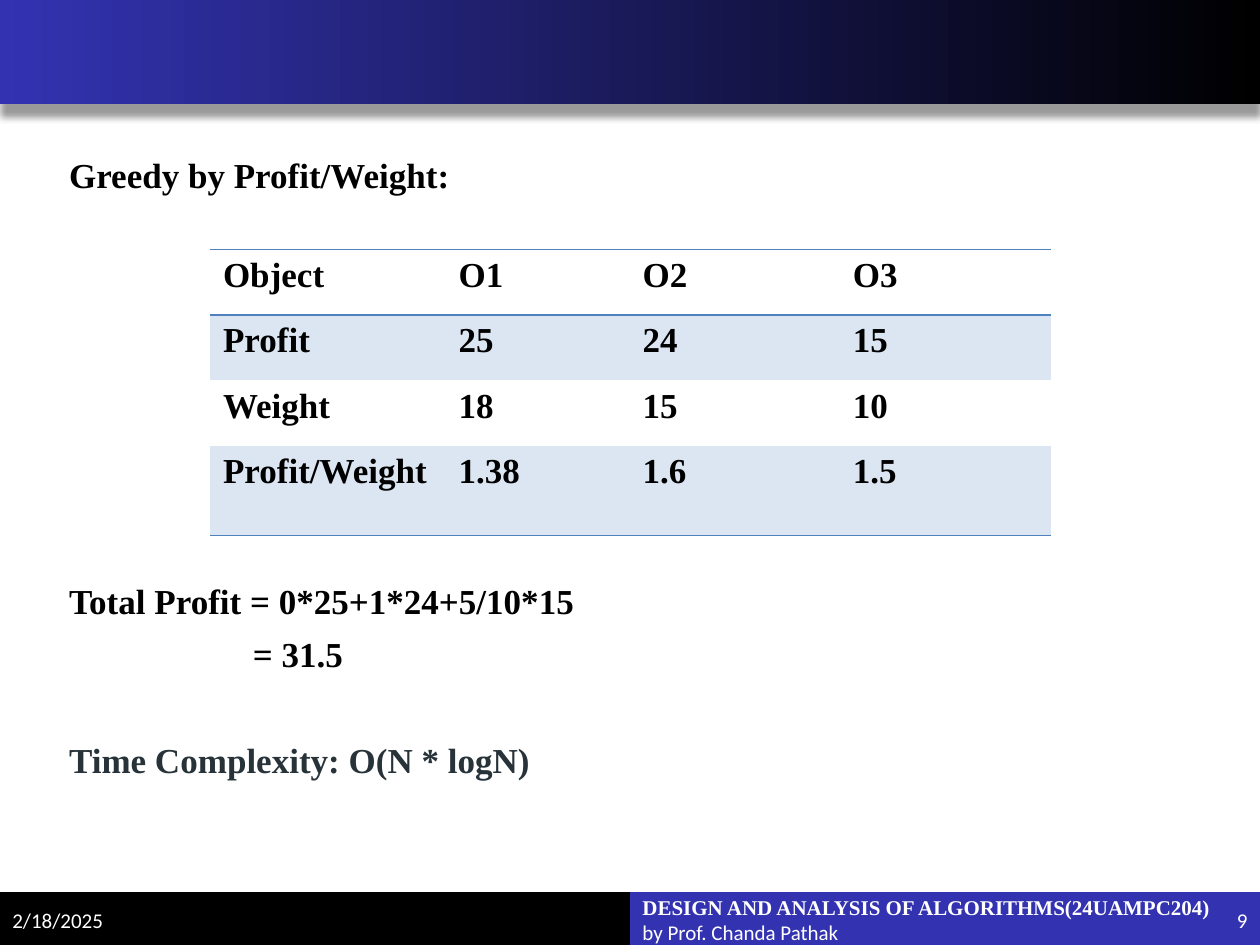
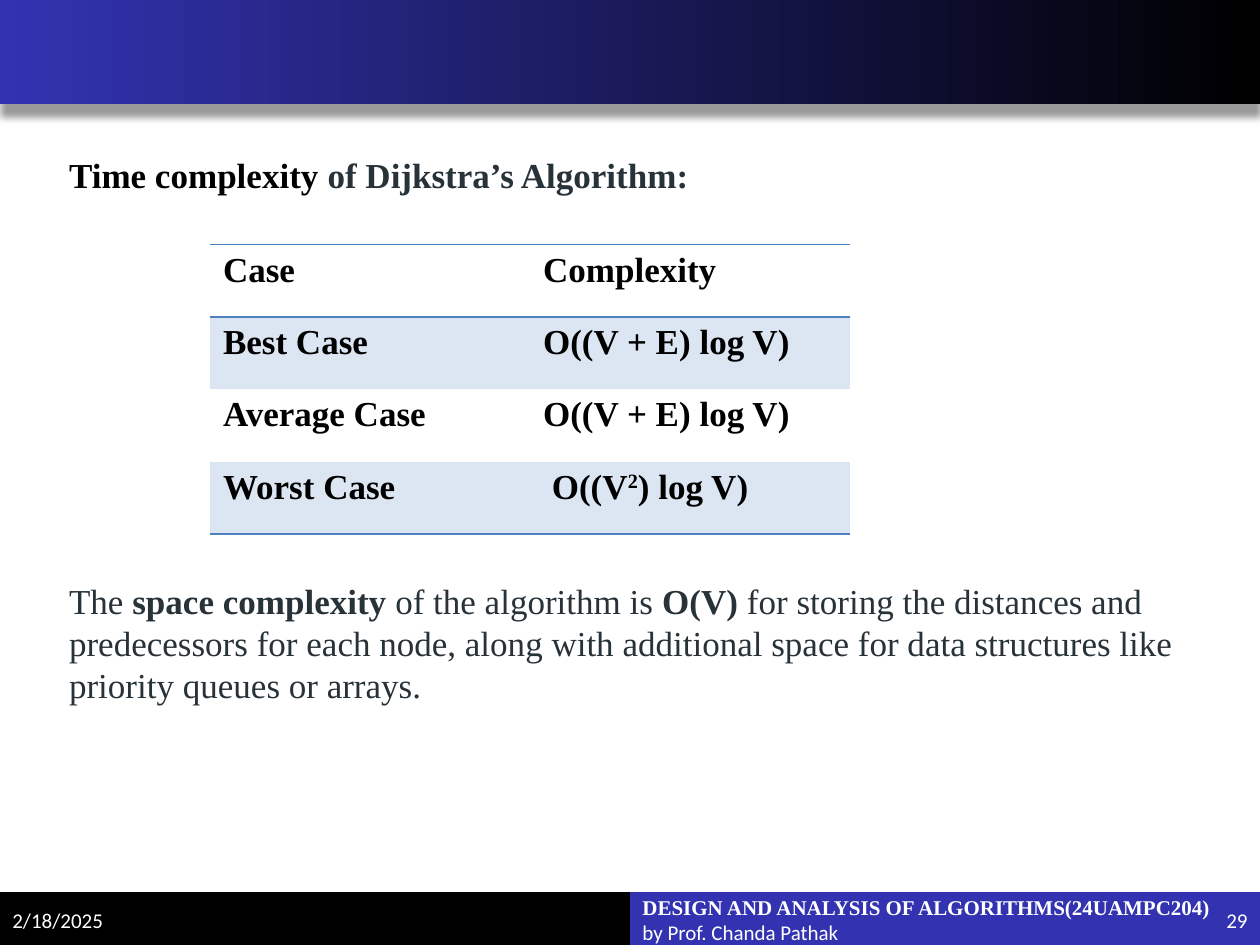
import pptx
import pptx.dml.color
import pptx.enum.shapes
import pptx.enum.text
import pptx.oxml
import pptx.oxml.ns
import pptx.util
from pptx.util import Inches

COLOURS = {
    "indigo": "3333B2",
    "black": "000000",
    "white": "FFFFFF",
    "slate": "273239",
    "rule": "4F81BD",
    "stripe": "DCE6F2",
}
SERIF, SANS = "Times New Roman", "Calibri"
BODY_FORMAT = {"name": SERIF, "size": 20, "bold": True, "colour": "black"}
FOOTER_FORMAT = {"name": SANS, "size": 12, "bold": False, "colour": "white"}
SLATE, PLAIN = {"colour": "slate"}, {"colour": "slate", "bold": False}

LINE_HEIGHT, LINE_STEP = 24, 30.4  # points: within and between paragraphs
BODY_INDENT = 0.12
NO_GRID_STYLE = "{2D5ABB26-0587-4C30-8999-92F81FD0307C}"


def rgb(name):
    return pptx.dml.color.RGBColor.from_string(COLOURS[name])


def drawing_element(xml):
    return pptx.oxml.parse_xml(xml.replace(">", f" {pptx.oxml.ns.nsdecls('a')}>", 1))


def add_spans(para, spans, base_format):
    """Add (text, overrides) pairs as runs; the override "raised" is a superscript."""
    for text, overrides in spans:
        span = para.add_run()
        span.text = text
        values = {**base_format, **overrides}
        span.font.color.rgb = rgb(values.pop("colour"))
        if values.pop("raised", False):
            span._r.get_or_add_rPr().set("baseline", "30000")
        values["size"] = pptx.util.Pt(values["size"])
        for attribute, value in values.items():
            setattr(span.font, attribute, value)


def add_text_box(page, left, top, width, height, anchor="TOP"):
    frame = page.shapes.add_textbox(*map(Inches, (left, top, width, height))).text_frame
    frame.word_wrap = True
    frame.vertical_anchor = getattr(pptx.enum.text.MSO_ANCHOR, anchor)
    return frame


def add_band(page, left, top, width, height):
    band = page.shapes.add_shape(
        pptx.enum.shapes.MSO_SHAPE.RECTANGLE, *map(Inches, (left, top, width, height)))
    band.shadow.inherit = False
    band.line.fill.background()
    return band


def add_header(page):
    band = add_band(page, 0, 0, 10, 0.83)
    band.fill.gradient()
    band.fill.gradient_angle = 180
    for stop, colour in zip(band.fill.gradient_stops, ("black", "indigo")):
        stop.color.rgb = rgb(colour)
    effects = band._element.spPr.find(pptx.oxml.ns.qn("a:effectLst"))
    effects.append(drawing_element(
        f'<a:outerShdw blurRad="{pptx.util.Pt(4)}" dist="{pptx.util.Pt(7)}" dir="5400000">'
        f'<a:srgbClr val="{COLOURS["black"]}"><a:alpha val="40000"/></a:srgbClr>'
        '</a:outerShdw>'))


def add_footer(page, number):
    for left, colour in ((5, "indigo"), (0, "black")):
        band = add_band(page, left, 7.08, 5, 0.42)
        band.fill.solid()
        band.fill.fore_color.rgb = rgb(colour)

    date = add_text_box(page, 0, 7.1, 1.17, 0.4, "MIDDLE").paragraphs[0]
    add_spans(date, [("2/18/2025", {})], FOOTER_FORMAT)

    course = add_text_box(page, 5, 7.1, 4.75, 0.4, "MIDDLE").paragraphs[0]
    add_spans(course, [("DESIGN AND ANALYSIS OF ALGORITHMS(24UAMPC204)",
                        {"name": SERIF, "bold": True})], FOOTER_FORMAT)
    course.add_line_break()
    add_spans(course, [("by Prof. Chanda Pathak", {})], FOOTER_FORMAT)

    page_number = add_text_box(page, 8.83, 7.1, 1.17, 0.4, "MIDDLE").paragraphs[0]
    page_number.alignment = pptx.enum.text.PP_ALIGN.RIGHT
    add_spans(page_number, [(str(number), {})], FOOTER_FORMAT)


def add_body(page, entries):
    """Each entry is (steps below the previous paragraph, left indent, spans)."""
    frame = add_text_box(page, 0.33, 1.17, 9.17, 5.53)
    for index, (steps, indent, spans) in enumerate(entries):
        para = frame.add_paragraph() if index else frame.paragraphs[0]
        para.line_spacing = pptx.util.Pt(LINE_HEIGHT)
        gap = steps * LINE_STEP - LINE_HEIGHT if steps else 0
        para.space_before = pptx.util.Pt(gap)
        para._p.get_or_add_pPr().set("marL", str(Inches(indent)))
        add_spans(para, spans, BODY_FORMAT)


def add_cell_rules(cell, sides):
    properties = cell._tc.get_or_add_tcPr()
    for position, side in enumerate(sides):
        properties.insert(position, drawing_element(
            f'<a:ln{side} w="{pptx.util.Pt(1)}"><a:solidFill>'
            f'<a:srgbClr val="{COLOURS["rule"]}"/></a:solidFill></a:ln{side}>'))


def add_striped_table(page, top, widths, heights, rows):
    """Draw a table with odd rows tinted; a cell is a string or a list of spans."""
    frame = page.shapes.add_table(
        len(rows), len(widths), *map(Inches, (1.67, top, sum(widths), sum(heights))))
    table = frame.table
    table.first_row = table.horz_banding = False
    table._tbl.tblPr.find(pptx.oxml.ns.qn("a:tableStyleId")).text = NO_GRID_STYLE
    for column, width in zip(table.columns, widths):
        column.width = Inches(width)
    rules = {0: "TB", len(rows) - 1: "B"}
    for row_index, (row, height) in enumerate(zip(rows, heights)):
        table.rows[row_index].height = Inches(height)
        for column_index, content in enumerate(row):
            cell = table.cell(row_index, column_index)
            if row_index % 2:
                cell.fill.solid()
                cell.fill.fore_color.rgb = rgb("stripe")
            else:
                cell.fill.background()
            add_cell_rules(cell, rules.get(row_index, ""))
            spans = [(content, {})] if isinstance(content, str) else content
            add_spans(cell.text_frame.paragraphs[0], spans, BODY_FORMAT)
    return table


def add_page(deck, number, entries):
    page = deck.slides.add_slide(deck.slide_layouts[6])
    add_footer(page, number)
    add_header(page)
    add_body(page, entries)
    return page


def add_knapsack_page(deck):
    page = add_page(deck, 9, [
        (0, BODY_INDENT, [("Greedy by Profit/Weight:", {})]),
        (8, BODY_INDENT, [("Total Profit = 0*25+1*24+5/10*15", {})]),
        (1, 1.58, [("= 31.5", {})]),
        (2, BODY_INDENT, [("Time Complexity: O(N * logN)", SLATE)]),
    ])
    add_striped_table(page, 1.98, [1.87, 1.46, 1.67, 1.67], [0.52] * 3 + [0.71], [
        ["Object", "O1", "O2", "O3"],
        ["Profit", "25", "24", "15"],
        ["Weight", "18", "15", "10"],
        ["Profit/Weight", "1.38", "1.6", "1.5"],
    ])


def add_dijkstra_page(deck):
    page = add_page(deck, 29, [
        (0, BODY_INDENT, [("Time complexity ", {}), ("of Dijkstra’s Algorithm:", SLATE)]),
        (8, BODY_INDENT, [
            ("The ", PLAIN),
            ("space complexity", SLATE),
            (" of the algorithm is ", PLAIN),
            ("O(V) ", SLATE),
            ("for storing the distances and predecessors for each node, along with "
             "additional space for data structures like priority queues or arrays.", PLAIN),
        ]),
    ])
    table = add_striped_table(page, 1.94, [2.54] * 2, [0.575] * 4, [
        ["Case", "Complexity"],
        ["Best Case", "O((V + E) log V)"],
        ["Average Case", "O((V + E) log V)"],
        ["Worst Case", [("O((V", {}), ("2", {"raised": True}), (") log V)", {})]],
    ])
    table.cell(3, 1).margin_left = Inches(0.17)


def main():
    deck = pptx.Presentation()
    deck.slide_width, deck.slide_height = Inches(10), Inches(7.5)
    add_knapsack_page(deck)
    add_dijkstra_page(deck)
    deck.save("out.pptx")


if __name__ == "__main__":
    main()
